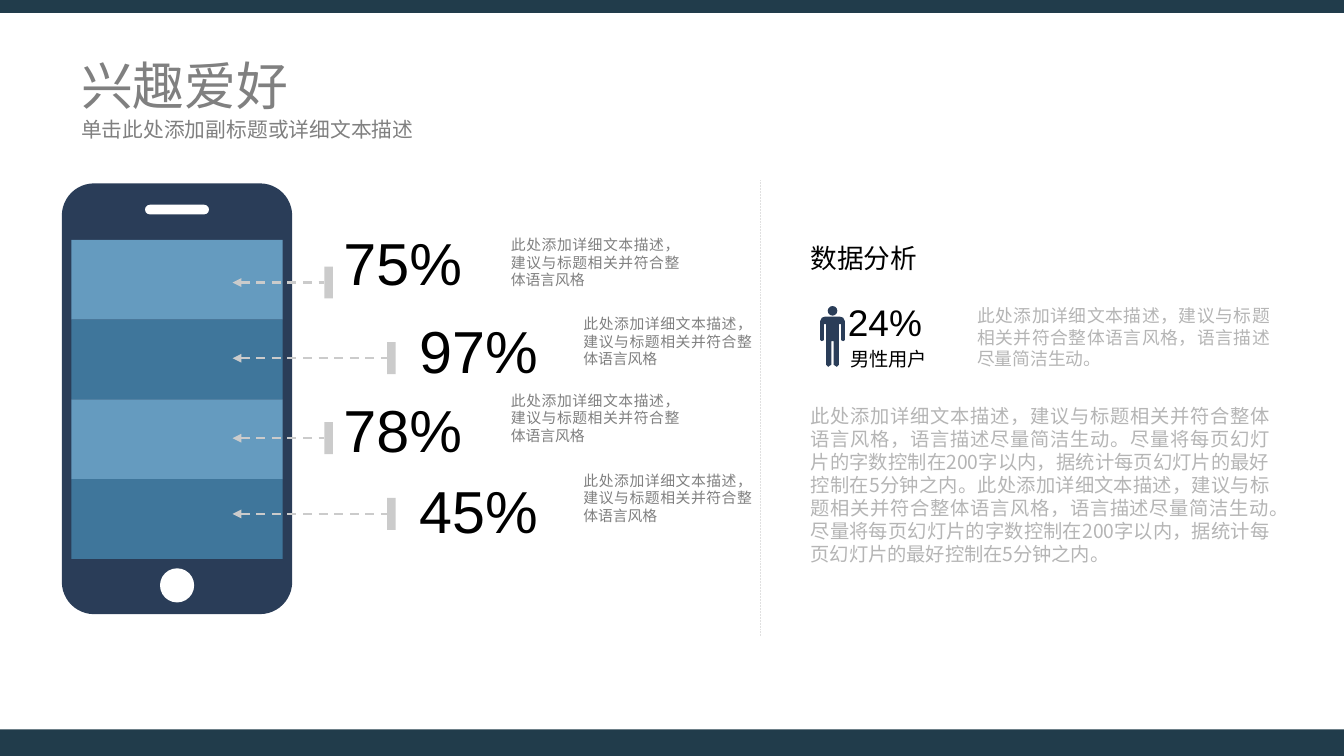
from dataclasses import dataclass

from lxml.etree import SubElement
from pptx import Presentation
from pptx.dml.color import RGBColor
from pptx.enum.dml import MSO_LINE
from pptx.enum.shapes import MSO_CONNECTOR, MSO_SHAPE
from pptx.enum.text import MSO_ANCHOR, MSO_AUTO_SIZE, PP_ALIGN
from pptx.oxml.ns import qn
from pptx.util import Inches, Pt

# The page is a grid of square cells, a tenth of an inch each
CELL = 0.1
COLUMNS, ROWS = 126, 70.9

CJK, LATIN = "Noto Sans CJK SC", "Arial"
BLACK, WHITE, GREY, PALE = "000000", "FFFFFF", "808080", "B5B5B5"
NAVY, LIGHT_BLUE, DARK_BLUE = "2A3D58", "659BBF", "3F769B"
MARKER, DIVIDER, FRAME = "CBCBCB", "E0E0E0", "213C4B"

NOTE = "此处添加详细文本描述，建议与标题相关并符合整体语言风格"
DETAIL = NOTE + "，语言描述尽量简洁生动。"
ADVICE = "尽量将每页幻灯片的字数控制在200字以内，据统计每页幻灯片的最好控制在5分钟之内。"


@dataclass(frozen=True)
class Area:
    column: float
    row: float
    width: float
    height: float


@dataclass(frozen=True)
class Lane:
    marker: float
    value: float
    note: float


@dataclass(frozen=True)
class Callout:
    value: str
    lane: Lane
    marker_row: float
    value_row: float
    note_row: float


NEAR = Lane(marker=30.4, value=31.8, note=47.5)
FAR = Lane(marker=36.3, value=38.9, note=54.3)
CALLOUTS = [
    Callout("75%", NEAR, 25, 20.8, 21.7),
    Callout("97%", FAR, 32.1, 29.1, 29.1),
    Callout("78%", NEAR, 39.6, 36.5, 36.3),
    Callout("45%", FAR, 46.7, 44.1, 43.8),
]

# Right half of the figure: distance from its axis, and row
FIGURE_AXIS = 78.05
FIGURE_HALF = [
    (0.7, 29.7), (1, 29.8), (1.15, 30.1), (1.15, 31.9), (1, 32), (0.8, 31.9),
    (0.8, 30.4), (0.6, 30.4), (0.6, 34.2), (0.4, 34.4), (0.1, 34.2), (0.1, 32),
]


def grid(cells: float) -> int:
    return Inches(cells * CELL)


def colour(value: str) -> RGBColor:
    return RGBColor.from_string(value)


def place(shape, area: Area) -> None:
    shape.left, shape.top = grid(area.column), grid(area.row)
    shape.width, shape.height = grid(area.width), grid(area.height)


def paint(shape, fill: str) -> None:
    shape.shadow.inherit = False
    shape.fill.solid()
    shape.fill.fore_color.rgb = colour(fill)
    shape.line.fill.background()


def add_block(page, area: Area, fill: str, kind=MSO_SHAPE.RECTANGLE, radius=None) -> None:
    shape = page.shapes.add_shape(kind, 0, 0, 0, 0)
    place(shape, area)
    paint(shape, fill)
    if radius is not None:
        shape.adjustments[0] = radius


def add_line(page, start: tuple, end: tuple, stroke: str, width: float, dash, arrow=False) -> None:
    ends = [grid(value) for value in (*start, *end)]
    line = page.shapes.add_connector(MSO_CONNECTOR.STRAIGHT, *ends)
    line.line.color.rgb = colour(stroke)
    line.line.width = Pt(width)
    line.line.dash_style = dash
    properties = line._element.spPr
    if arrow:
        SubElement(properties.find(qn("a:ln")), qn("a:headEnd"), type="triangle")
    SubElement(properties, qn("a:effectLst"))


def write(box, text: str, *, size: float, color: str, font=CJK, spacing=1.2,
          align=PP_ALIGN.LEFT, anchor=MSO_ANCHOR.TOP, inset=(0.4, 0.4)) -> None:
    frame = box.text_frame
    frame.word_wrap = True
    frame.auto_size = MSO_AUTO_SIZE.NONE
    frame.vertical_anchor = anchor
    frame.margin_left = frame.margin_right = grid(inset[0])
    frame.margin_top = frame.margin_bottom = grid(inset[1])
    para = frame.paragraphs[0]
    para.alignment = align
    para.space_before = Pt(0)
    if spacing:
        para.line_spacing = Pt(size * spacing)
    span = para.add_run()
    span.text = text
    span.font.size = Pt(size)
    span.font.name = font
    span.font.color.rgb = colour(color)
    SubElement(span._r.get_or_add_rPr(), qn("a:ea"), typeface=font)


def add_text(page, area: Area, text: str, **style) -> None:
    box = page.shapes.add_textbox(0, 0, 0, 0)
    place(box, area)
    write(box, text, **style)


def add_headings(page) -> None:
    title, subtitle = page.shapes.title, page.placeholders[1]
    place(title, Area(6.3, 5.2, 113.4, 5.1))
    write(title, "兴趣爱好", size=35, color=GREY, spacing=1.3,
          anchor=MSO_ANCHOR.MIDDLE, inset=(1.3, 0.6))
    place(subtitle, Area(6.3, 10.2, 113.4, 4.2))
    properties = subtitle.text_frame.paragraphs[0]._p.get_or_add_pPr()
    properties.set("marL", "0")
    properties.set("indent", "0")
    SubElement(properties, qn("a:buNone"))
    write(subtitle, "单击此处添加副标题或详细文本描述", size=14, color=GREY,
          spacing=1.3, inset=(1.3, 0.6))


def add_phone(page) -> None:
    add_block(page, Area(5.8, 17.2, 21.6, 40.4), NAVY, MSO_SHAPE.ROUNDED_RECTANGLE, 0.14)
    add_block(page, Area(13.6, 19.2, 6, 0.9), WHITE, MSO_SHAPE.ROUNDED_RECTANGLE, 0.5)
    add_block(page, Area(15, 53.3, 3.2, 3.2), WHITE, MSO_SHAPE.OVAL)
    band = 7.48
    for index in range(len(CALLOUTS)):
        fill = DARK_BLUE if index % 2 else LIGHT_BLUE
        add_block(page, Area(6.7, 22.5 + index * band, 19.8, band), fill)


def add_callout(page, item: Callout) -> None:
    lane, middle = item.lane, item.marker_row + 1.5
    add_block(page, Area(lane.marker, item.marker_row, 0.8, 3), MARKER)
    add_line(page, (21.8, middle), (lane.marker, middle), MARKER, 1.5, MSO_LINE.DASH, arrow=True)
    add_text(page, Area(lane.value, item.value_row, 13.9, 8.4), item.value,
             size=40, color=BLACK, font=LATIN, spacing=None)
    add_text(page, Area(lane.note, item.note_row, 16.6, 5.8), NOTE,
             size=10, color=GREY, align=PP_ALIGN.JUSTIFY)


def add_figure(page) -> None:
    mirrored = [(-offset, row) for offset, row in reversed(FIGURE_HALF)]
    points = [(grid(FIGURE_AXIS + offset), grid(row)) for offset, row in FIGURE_HALF + mirrored]
    builder = page.shapes.build_freeform(*points[0], scale=1.0)
    builder.add_line_segments(points[1:], close=True)
    paint(builder.convert_to_shape(), NAVY)
    add_block(page, Area(FIGURE_AXIS - 0.45, 28.7, 0.9, 0.9), NAVY, MSO_SHAPE.OVAL)


def add_analysis(page) -> None:
    add_text(page, Area(75.6, 22.3, 13, 3.8), "数据分析", size=18, color=BLACK)
    add_figure(page)
    add_text(page, Area(79.1, 27.7, 12, 5.7), "24%", size=25, color=BLACK,
             font=LATIN, spacing=None)
    add_text(page, Area(79.3, 31, 12, 5.4), "男性用户", size=13, color=BLACK,
             anchor=MSO_ANCHOR.MIDDLE)
    add_text(page, Area(91.2, 28.2, 28.3, 6.8), DETAIL, size=12, color=PALE,
             align=PP_ALIGN.JUSTIFY)
    add_text(page, Area(75.6, 37.5, 43.8, 16.1), (DETAIL + ADVICE) * 2, size=13,
             color=PALE, align=PP_ALIGN.JUSTIFY)


def main() -> None:
    deck = Presentation()
    deck.slide_width, deck.slide_height = grid(COLUMNS), grid(ROWS)
    page = deck.slides.add_slide(deck.slide_layouts[1])

    # Bars along the top and bottom edges
    add_block(page, Area(0, 0, COLUMNS, 1.2), FRAME)
    add_block(page, Area(0, 68.4, COLUMNS, ROWS - 68.4), FRAME)

    add_headings(page)

    # Phone with its four callouts
    add_phone(page)
    for item in CALLOUTS:
        add_callout(page, item)

    # Divider and analysis column
    add_line(page, (71.3, 16.9), (71.3, 59.6), DIVIDER, 0.5, MSO_LINE.ROUND_DOT)
    add_analysis(page)

    deck.save("out.pptx")


if __name__ == "__main__":
    main()
